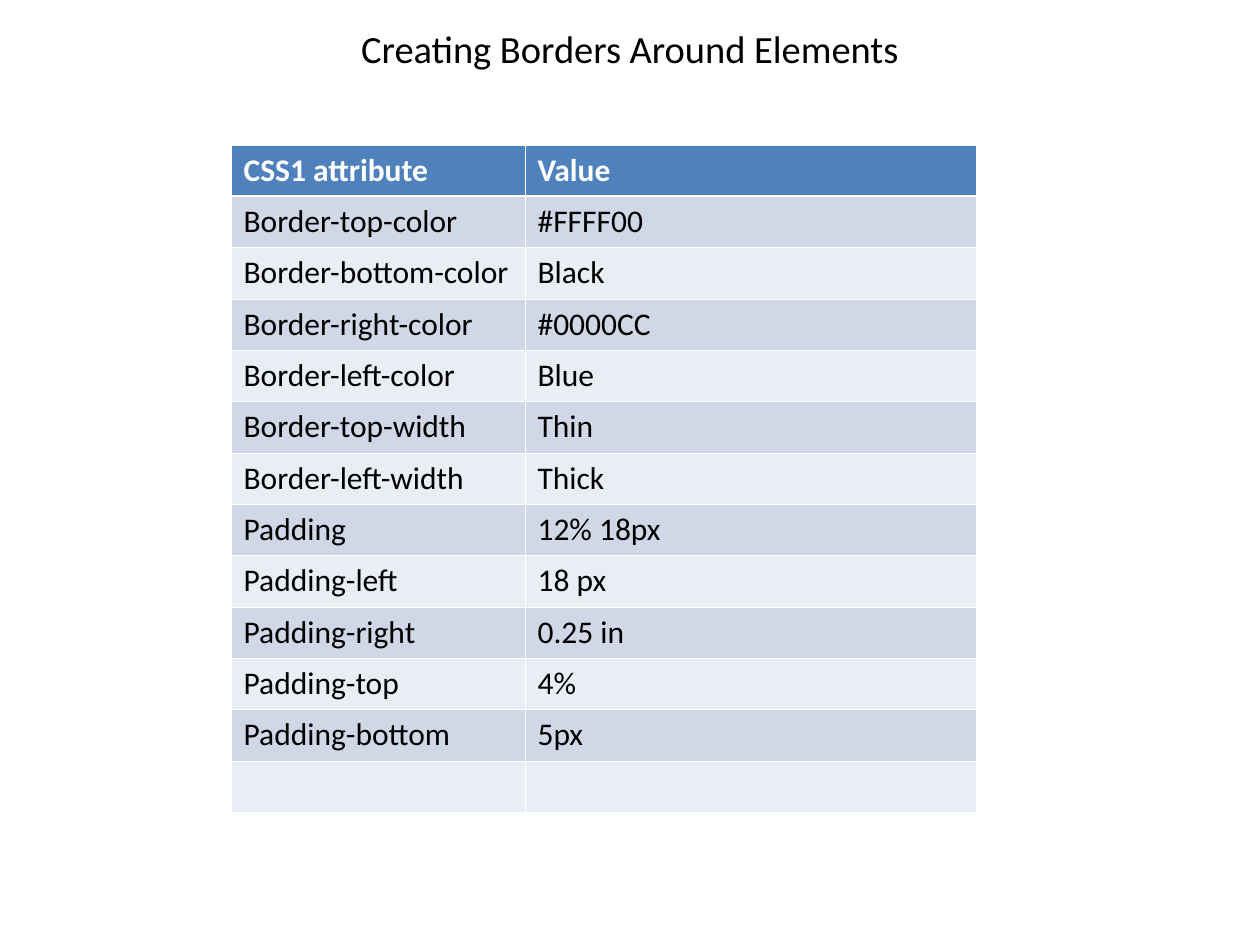
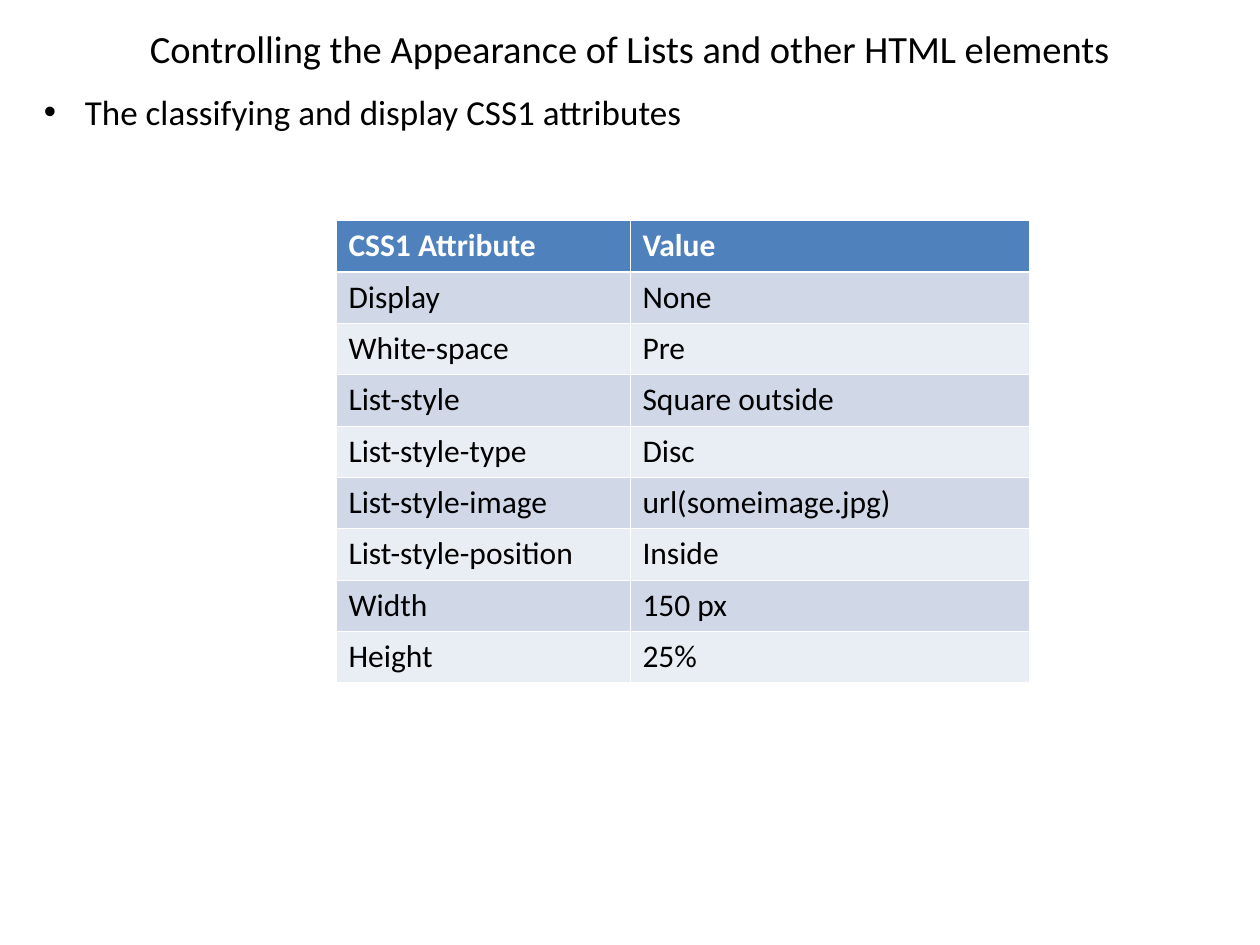
from lxml.etree import SubElement
from pptx import Presentation
from pptx.dml.color import RGBColor
from pptx.enum.text import MSO_ANCHOR as Anchor, PP_ALIGN as Align
from pptx.oxml.ns import qn
from pptx.util import Pt

FONT = "Calibri"
BLACK, WHITE = "000000", "FFFFFF"
HEADER_FILL, BANDS = "4F81BD", ("D0D8E8", "E9EDF4")
TITLE_BOX = (36, 0, 648, 42)
ROW_H, ATTRIBUTE_W = 29.36, 168
THIN, THICK = 0.45, 1.47

BORDERS = [
    ("CSS1 attribute", "Value"),
    ("Border-top-color", "#FFFF00"),
    ("Border-bottom-color", "Black"),
    ("Border-right-color", "#0000CC"),
    ("Border-left-color", "Blue"),
    ("Border-top-width", "Thin"),
    ("Border-left-width", "Thick"),
    ("Padding", "12% 18px"),
    ("Padding-left", "18 px"),
    ("Padding-right", "0.25 in"),
    ("Padding-top", "4%"),
    ("Padding-bottom", "5px"),
    ("", ""),
]
LISTS = [
    ("CSS1 Attribute", "Value"),
    ("Display", "None"),
    ("White-space", "Pre"),
    ("List-style", "Square outside"),
    ("List-style-type", "Disc"),
    ("List-style-image", "url(someimage.jpg)"),
    ("List-style-position", "Inside"),
    ("Width", "150 px"),
    ("Height", "25%"),
]


def rgb(color):
    """Turn a hex string into a colour."""
    return RGBColor.from_string(color)


def apply(obj, values):
    """Set each attribute named in a dict of format values."""
    for name, value in values.items():
        setattr(obj, name, value)


def write(p, text, size, color=BLACK, bold=False):
    """Add one formatted run to a paragraph."""
    r = p.add_run()
    r.text = text
    apply(r.font, {"name": FONT, "size": Pt(size), "bold": bold})
    r.font.color.rgb = rgb(color)


def add_text_frame(s, box, anchor):
    """Add a wrapping text box and return its frame."""
    tf = s.shapes.add_textbox(*map(Pt, box)).text_frame
    apply(tf, {"word_wrap": True, "vertical_anchor": anchor})
    return tf


def add_title(s, text):
    """Write the centred title shared by the slides."""
    p = add_text_frame(s, TITLE_BOX, Anchor.MIDDLE).paragraphs[0]
    apply(p, {"alignment": Align.CENTER, "line_spacing": 1.5})
    write(p, text, 22)


def add_bullet(s, box, text, indent=23.4):
    """Write one bulleted paragraph with a hanging indent."""
    p = add_text_frame(s, box, Anchor.TOP).paragraphs[0]
    pPr = p._p.get_or_add_pPr()
    pPr.set("marL", str(Pt(indent)))
    pPr.set("indent", str(-Pt(indent)))
    SubElement(pPr, qn("a:buFont"), typeface="Arial")
    SubElement(pPr, qn("a:buChar"), char="•")
    write(p, text, 20)


def add_borders(cell, widths):
    """Draw white borders, given the width of each side."""
    tcPr = cell._tc.get_or_add_tcPr()
    for side, width in widths.items():
        ln = SubElement(tcPr, qn(f"a:ln{side}"), w=str(Pt(width)))
        fill = SubElement(ln, qn("a:solidFill"))
        SubElement(fill, qn("a:srgbClr"), val=WHITE)


def add_banded_table(s, left, top, width, rows):
    """Build an attribute table with a header and banded rows."""
    box = (left, top, width, ROW_H * len(rows))
    table = s.shapes.add_table(len(rows), 2, *map(Pt, box)).table
    for col, col_w in zip(table.columns, (ATTRIBUTE_W, width - ATTRIBUTE_W)):
        col.width = Pt(col_w)
    for i, row in enumerate(rows):
        table.rows[i].height = Pt(ROW_H)
        header = i == 0
        for j, text in enumerate(row):
            cell = table.cell(i, j)
            add_borders(cell, {"L": THIN, "R": THIN,
                               "T": THICK if i == 1 else THIN,
                               "B": THICK if header else THIN})
            cell.fill.solid()
            cell.fill.fore_color.rgb = rgb(HEADER_FILL if header else BANDS[(i - 1) % 2])
            if text:
                write(cell.text_frame.paragraphs[0], text, 18,
                      WHITE if header else BLACK, header)


def add_slide(prs, title):
    """Add a blank slide with the shared title."""
    s = prs.slides.add_slide(prs.slide_layouts[6])
    add_title(s, title)
    return s


def main():
    """Build both slides and save them."""
    prs = Presentation()
    apply(prs, {"slide_width": Pt(720), "slide_height": Pt(540)})

    s = add_slide(prs, "Creating Borders Around Elements")
    add_banded_table(s, 132, 82.8, 426, BORDERS)

    s = add_slide(prs, "Controlling the Appearance of Lists and other HTML elements")
    add_bullet(s, (18, 48, 666, 474), "The classifying and display CSS1 attributes")
    add_banded_table(s, 192, 126, 396, LISTS)

    prs.save("out.pptx")


if __name__ == "__main__":
    main()
